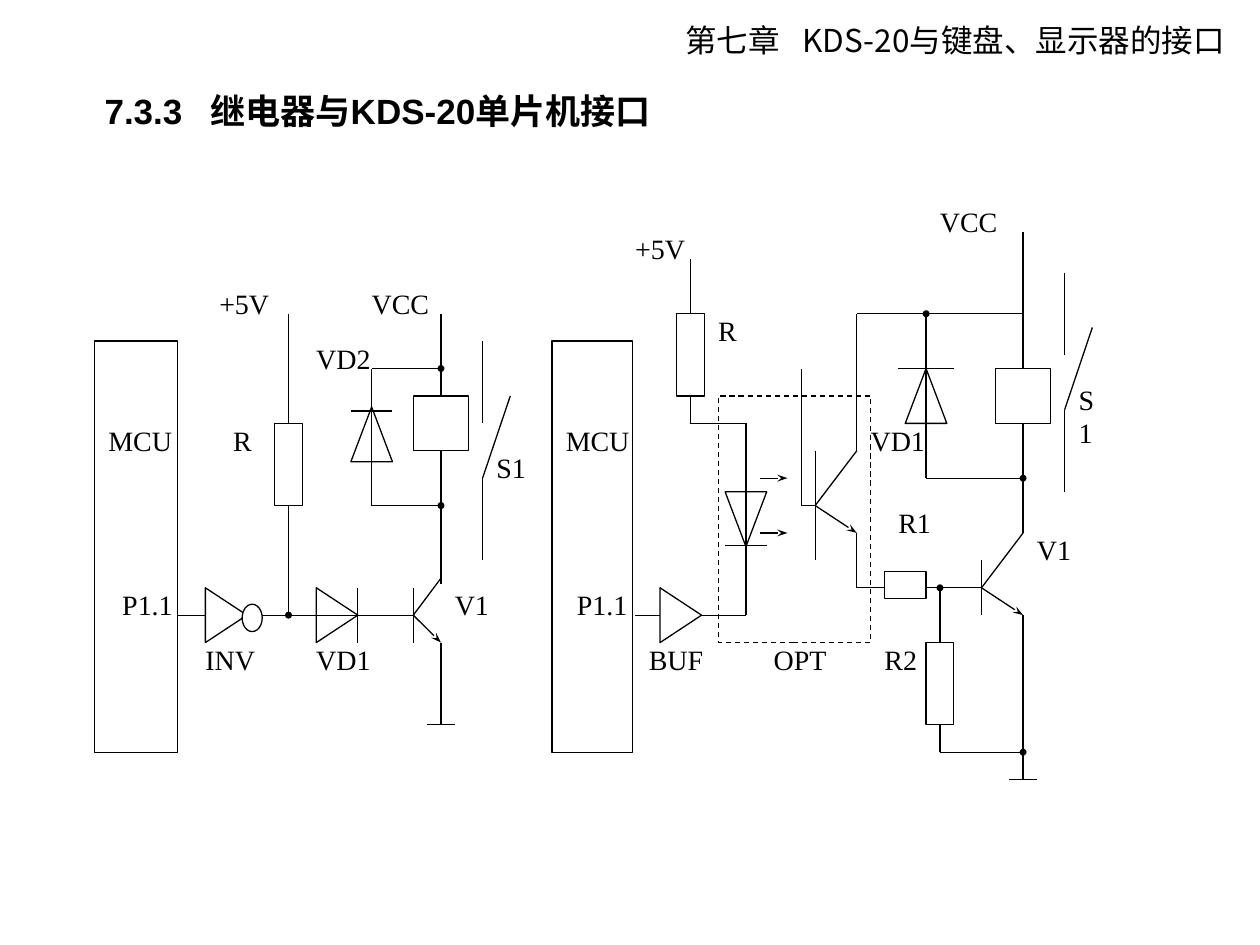
import pptx
import pptx.dml.color
import pptx.enum.dml
import pptx.enum.shapes
import pptx.enum.text
import pptx.util
import lxml.etree

COLORS = {"ink": "000000", "paper": "FFFFFF"}
LEFT, TOP, COLUMN, ROW = 0.75, 1.62, 0.11, 0.2175
Inches = pptx.util.Inches
Shape = pptx.enum.shapes.MSO_SHAPE
Align = pptx.enum.text.PP_ALIGN
INK = pptx.dml.color.RGBColor.from_string(COLORS["ink"])
PAPER = pptx.dml.color.RGBColor.from_string(COLORS["paper"])
qn = pptx.oxml.ns.qn


def write(box, text, size=16, font="Times New Roman", bold=False, align=Align.JUSTIFY,
          wrap=True, inset=(0, 0), anchor=pptx.enum.text.MSO_ANCHOR.TOP, tab=None):
    frame = box.text_frame
    frame.auto_size = pptx.enum.text.MSO_AUTO_SIZE.NONE
    frame.word_wrap = wrap
    frame.vertical_anchor = anchor
    frame.margin_left = frame.margin_right = Inches(inset[0])
    frame.margin_top = frame.margin_bottom = Inches(inset[1])
    para = frame.paragraphs[0]
    para.alignment = align
    if tab:
        stops = lxml.etree.SubElement(para._p.get_or_add_pPr(), qn("a:tabLst"))
        lxml.etree.SubElement(stops, qn("a:tab"), pos=str(Inches(tab)), algn="l")
    span = para.add_run()
    span.text = text
    span.font.size = pptx.util.Pt(size)
    span.font.name = font
    span.font.bold = bold
    span.font.color.rgb = INK
    lxml.etree.SubElement(span._r.get_or_add_rPr(), qn("a:ea"), typeface="Noto Sans CJK JP")


def draw(kind, left, top, right, bottom, turn=0):
    width, height = (right - left) * COLUMN, (bottom - top) * ROW
    x, y = LEFT + left * COLUMN, TOP + top * ROW
    if turn == 90:
        x, y = x + (width - height) / 2, y + (height - width) / 2
        width, height = height, width
    shape = page.shapes.add_shape(kind, Inches(x), Inches(y), Inches(width), Inches(height))
    shape.rotation = turn
    shape.shadow.inherit = False
    shape.fill.solid()
    shape.fill.fore_color.rgb = PAPER
    shape.line.color.rgb = INK
    shape.line.width = pptx.util.Pt(0.75)
    return shape


deck = pptx.Presentation()
deck.slide_width, deck.slide_height = Inches(10), Inches(7.5)
page = deck.slides.add_slide(deck.slide_layouts[5])

header = page.shapes.add_textbox(Inches(5.34), Inches(0.12), Inches(4.61), Inches(0.4))
write(header, "第七章\tKDS-20与键盘、显示器的接口", size=18, font="Noto Sans CJK JP",
      align=Align.LEFT, wrap=False, inset=(0.1, 0.05), tab=0.93)

title = page.shapes.title
title.left, title.top, title.width, title.height = map(Inches, (0.73, 0.52, 4.7, 0.72))
write(title, "7.3.3\t继电器与KDS-20单片机接口", size=20, font="Arial", bold=True,
      align=Align.LEFT, wrap=False, inset=(0.1, 0.19),
      anchor=pptx.enum.text.MSO_ANCHOR.MIDDLE, tab=0.84)

for left, top, right, bottom, turn in [
    (18.5, 7.4, 21.5, 9.4, 0), (16, 14, 19, 16, 90),
    (45.5, 10.5, 48.5, 12.5, 180), (58.5, 6, 61.5, 8, 0),
]:
    draw(Shape.ISOSCELES_TRIANGLE, left, top, right, bottom, turn)

sites = {}
for left, top, right, bottom in [(23, 7, 27, 9), (60, 16, 62, 19)]:
    part = draw(Shape.RECTANGLE, left, top, right, bottom)
    middle = (left + right) / 2, (top + bottom) / 2
    sites[middle[0], top] = part, 0
    sites[left, middle[1]] = part, 1
    sites[middle[0], bottom] = part, 2
    sites[right, middle[1]] = part, 3

wires = [
    (6, 15, 23, 15), (19, 14, 19, 16), (14, 4, 14, 15, "tailEnd", "oval"),
    (23, 14, 23, 16), (23, 15, 25, 13.65), (23, 15, 25, 16, "tailEnd", "stealth"),
    (25, 16, 25, 19), (24, 19, 26, 19), (25, 13.85, 25, 9), (25, 7, 25, 4),
    (25, 11, 20, 11, "headEnd", "oval"), (20, 11, 20, 6), (20, 6, 25, 6, "tailEnd", "oval"),
    (18.5, 7.55, 21.5, 7.55),
    (39, 15, 47, 15), (47, 8, 43, 8), (43, 8, 43, 2), (45.5, 12.45, 48.5, 12.45),
    (47, 15, 47, 8), (48, 10, 50, 10, "tailEnd", "stealth"),
    (48, 12, 50, 12, "tailEnd", "stealth"),
    (52, 9, 52, 13), (52, 11, 55, 9), (52, 11, 55, 12, "tailEnd", "stealth"),
    (52, 11, 51, 11), (51, 11, 51, 6), (55, 9, 55, 4), (55, 12, 55, 14), (55, 14, 57, 14),
    (60, 14, 64, 14), (64, 13, 64, 15), (64, 14, 67, 12),
    (64, 14, 67, 15, "tailEnd", "stealth"), (67, 12, 67, 1), (67, 15, 67, 21),
    (61, 14, 61, 16, "headEnd", "oval"), (61, 19, 61, 20), (61, 20, 67, 20, "tailEnd", "oval"),
    (55, 4, 67, 4), (67, 10, 60, 10, "headEnd", "oval"), (58, 6, 62, 6),
    (60, 10, 60, 4, "tailEnd", "oval"), (66, 21, 68, 21),
]
for column, row in [(28, 5), (70, 2.5)]:
    wires += [(column, row, column, row + 3), (column, row + 5, column, row + 8),
              (column, row + 5, column + 2, row + 2)]

for x1, y1, x2, y2, *ending in wires:
    wire = page.shapes.add_connector(
        pptx.enum.shapes.MSO_CONNECTOR.STRAIGHT,
        Inches(LEFT + x1 * COLUMN), Inches(TOP + y1 * ROW),
        Inches(LEFT + x2 * COLUMN), Inches(TOP + y2 * ROW))
    wire.line.color.rgb = INK
    wire.line.width = pptx.util.Pt(0.75)
    if ending:
        lxml.etree.SubElement(wire.line._get_or_add_ln(), qn("a:" + ending[0]),
                              type=ending[1], w="sm", len="sm" if ending[1] == "oval" else "med")
    lxml.etree.SubElement(wire._element.spPr, qn("a:effectLst"))
    if (x1, y1) in sites:
        wire.begin_connect(*sites[x1, y1])
    if (x2, y2) in sites:
        wire.end_connect(*sites[x2, y2])

for left, top, right, bottom in [
    (0, 5, 6, 20), (13, 8, 15, 11), (33, 5, 38.8, 20),
    (42, 4, 44, 7), (57, 13.4, 60, 14.4), (65, 6, 69, 8),
]:
    draw(Shape.RECTANGLE, left, top, right, bottom)
for left in (8, 40.8):
    draw(Shape.ISOSCELES_TRIANGLE, left, 14, left + 3, 16, 90)
draw(Shape.OVAL, 10.65, 14.6, 12.1, 15.6)

coupler = draw(Shape.RECTANGLE, 45, 7, 56, 16)
coupler.fill.background()
coupler.line.dash_style = pptx.enum.dml.MSO_LINE.DASH

for text, column, row, columns in [
    ("MCU", 1, 8, 5), ("P1.1", 2, 14, 5), ("INV", 8, 16, 5), ("VD1", 16, 16, 5),
    ("R", 10, 8, 3), ("+5V", 9, 3, 5), ("VCC", 20, 3, 5), ("VD2", 16, 5, 5),
    ("S1", 29, 9, 5), ("V1", 26, 14, 5),
    ("MCU", 34, 8, 5), ("P1.1", 34.8, 14, 5), ("R", 45, 4, 3), ("+5V", 39, 1, 5),
    ("S1", 71, 6.5, 2), ("BUF", 40, 16, 5), ("OPT", 49, 16, 5), ("R1", 58, 11, 3),
    ("R2", 57, 16, 3), ("V1", 68, 12, 5), ("VD1", 56, 8, 5), ("VCC", 61, 0, 5),
]:
    rows = 3.5 if columns == 2 else 2
    label = page.shapes.add_textbox(
        Inches(LEFT + column * COLUMN), Inches(TOP + row * ROW),
        Inches(columns * COLUMN), Inches(rows * ROW))
    write(label, text)

deck.save("out.pptx")
